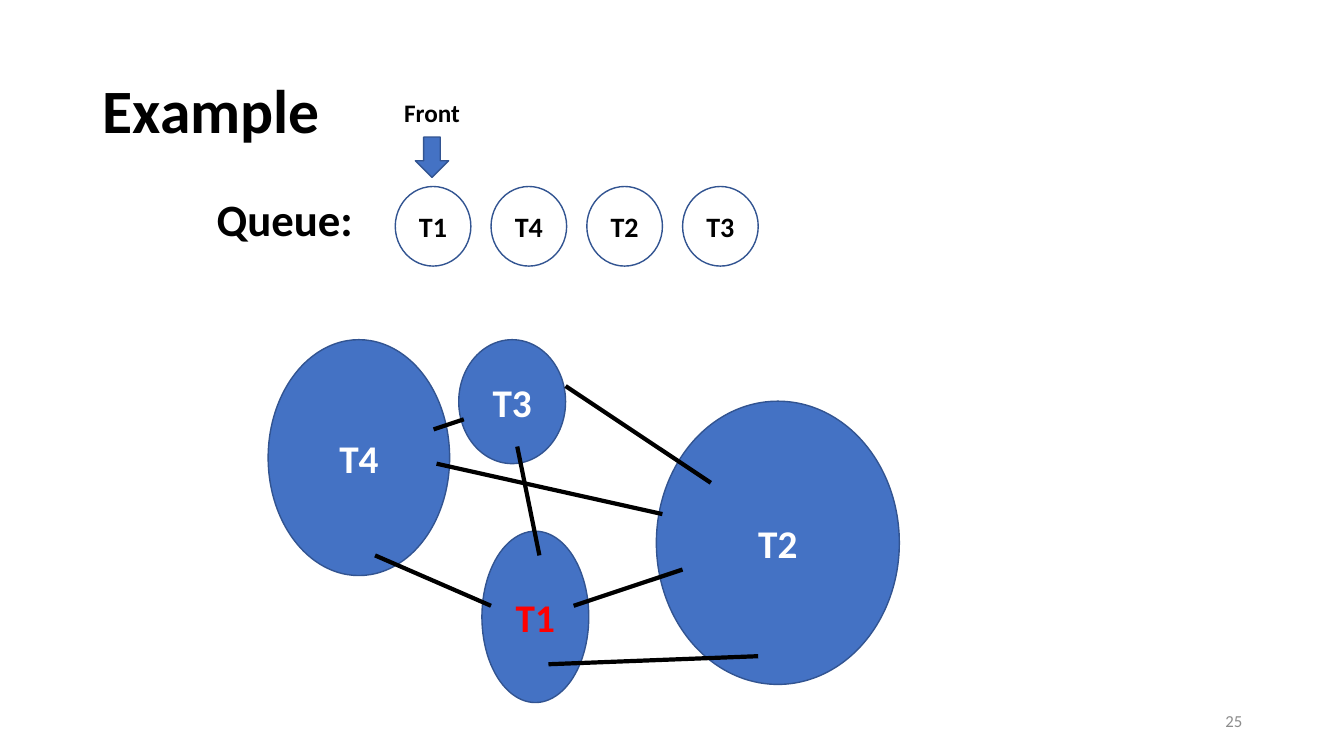
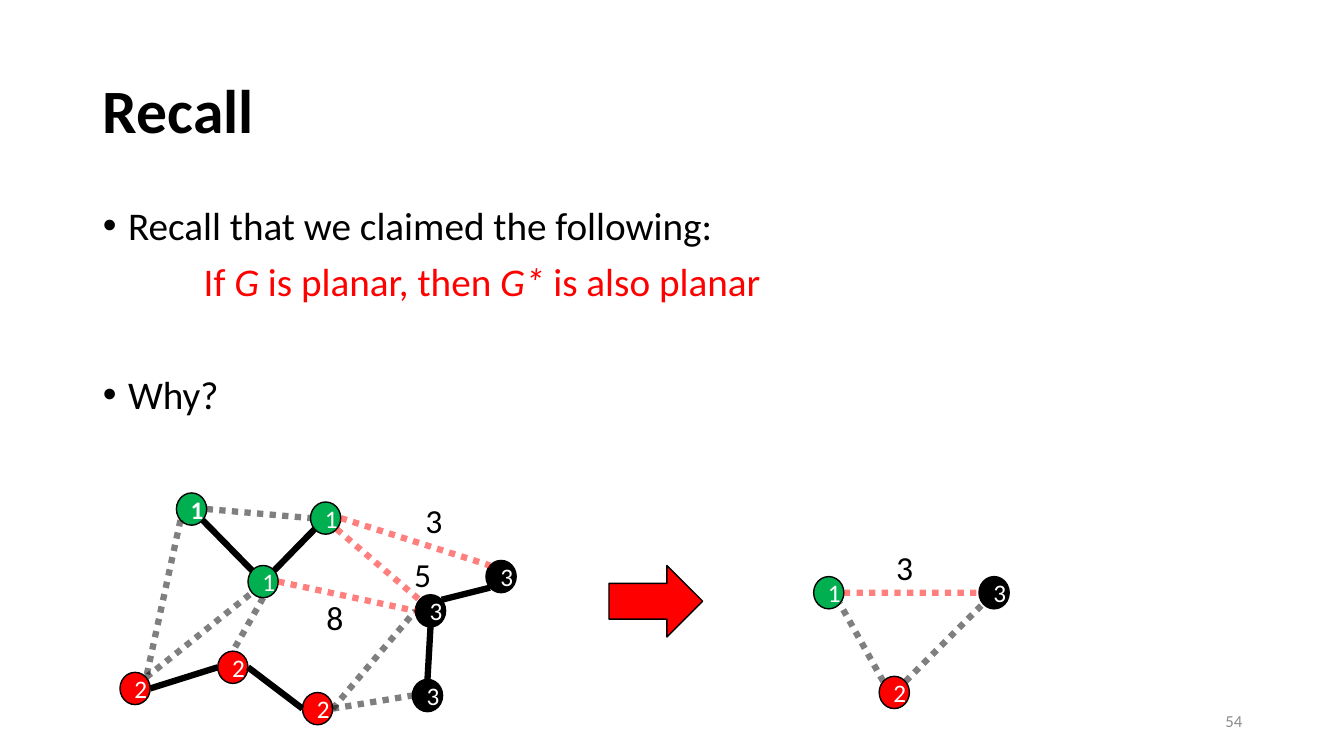
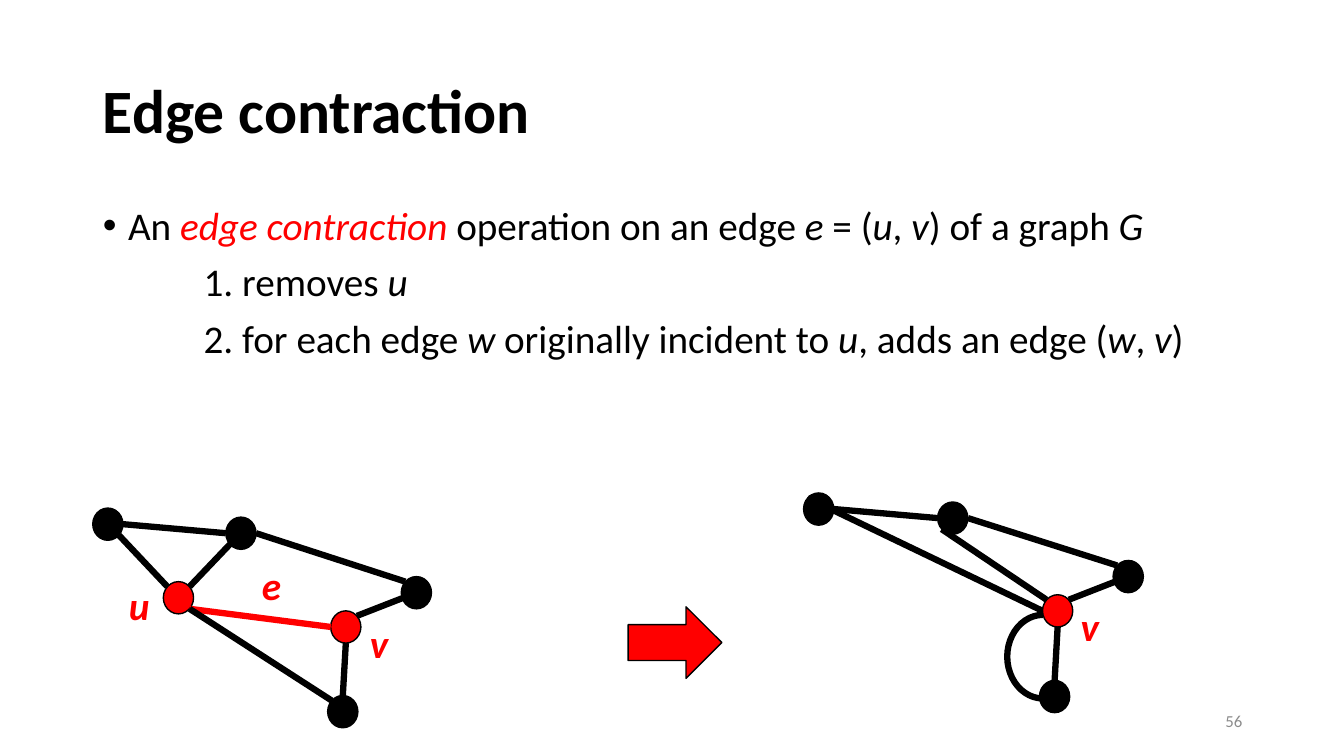
import dataclasses

import lxml.etree
import pptx
import pptx.dml.color
import pptx.enum.dml
import pptx.enum.shapes
import pptx.enum.text
import pptx.oxml.ns
import pptx.util

RGBColor = pptx.dml.color.RGBColor
SHAPE = pptx.enum.shapes.MSO_SHAPE
ALIGN = pptx.enum.text.PP_ALIGN
ANCHOR = pptx.enum.text.MSO_ANCHOR
FIT = pptx.enum.text.MSO_AUTO_SIZE

BLACK = RGBColor(0x00, 0x00, 0x00)
WHITE = RGBColor(0xFF, 0xFF, 0xFF)
RED = RGBColor(0xFF, 0x00, 0x00)
GREEN = RGBColor(0x00, 0xB0, 0x50)
BLUE = RGBColor(0x44, 0x72, 0xC4)
NAVY = RGBColor(0x32, 0x54, 0x91)
GREY = RGBColor(0x8C, 0x8C, 0x8C)

FONT = "Calibri"
PX = 9144
NODE_WIDTH, NODE_HEIGHT = 30, 32
SITES = {
    "N": (0, -16), "NE": (11, -11), "E": (15, 0), "SE": (11, 11), "S": (0, 16),
    "SW": (-11, 11), "W": (-15, 0), "NW": (-11, -11), "C": (0, 0),
}


@dataclasses.dataclass(frozen=True)
class Stroke:
    """Look of a line; dotted lines are half transparent."""
    colour: RGBColor
    width: float = 4.5
    dotted: bool = False


@dataclasses.dataclass(frozen=True)
class Node:
    """Graph vertex given by its centre."""
    x: int
    y: int
    fill: RGBColor
    label: str = ""
    bold: bool = False


@dataclasses.dataclass(frozen=True)
class Line:
    """Body line; underscores switch italics, accent is the red italic part."""
    text: str
    bullet: bool = True
    before: int = 10
    colour: RGBColor = BLACK
    accent: str = ""


SOLID = Stroke(BLACK)
SOLID_RED = Stroke(RED)
DOTTED = Stroke(BLACK, dotted=True)
DOTTED_RED = Stroke(RED, dotted=True)
THIN = Stroke(BLACK, 3)


def emu(*lengths):
    """Turn px into EMU."""
    return [length * PX for length in lengths]


def place(shape, left, top, width, height):
    """Move and size a shape."""
    shape.left, shape.top, shape.width, shape.height = emu(left, top, width, height)


def style(span, size, colour, bold=False, italic=False):
    """Set the font of a run."""
    span.font.name = FONT
    span.font.size = pptx.util.Pt(size)
    span.font.color.rgb = colour
    span.font.bold = bold
    span.font.italic = italic


def write(shape, text, size, colour, bold=False, italic=False, align=ALIGN.LEFT):
    """Fill a shape with one paragraph in one style."""
    shape.text_frame.text = text
    para = shape.text_frame.paragraphs[0]
    para.alignment = align
    style(para.runs[0], size, colour, bold, italic)
    return para


def add_label(page, box, text, size, colour=BLACK, bold=False, italic=False):
    """Add a text box that does not wrap."""
    label = page.shapes.add_textbox(*emu(*box))
    label.text_frame.word_wrap = False
    label.text_frame.auto_size = FIT.SHAPE_TO_FIT_TEXT
    write(label, text, size, colour, bold, italic)


def add_figure(page, kind, box, fill, outline, text="", size=18, colour=WHITE, bold=False):
    """Add a filled preset shape with optional centred text."""
    figure = page.shapes.add_shape(kind, *emu(*box))
    figure.shadow.inherit = False
    figure.fill.solid()
    figure.fill.fore_color.rgb = fill
    figure.line.color.rgb = outline
    figure.line.width = pptx.util.Pt(1)
    if text:
        figure.text_frame.vertical_anchor = ANCHOR.MIDDLE
        write(figure, text, size, colour, bold, align=ALIGN.CENTER)


def add_line(page, start, end, stroke):
    """Draw a straight connector between two points."""
    kind = pptx.enum.shapes.MSO_CONNECTOR.STRAIGHT
    connector = page.shapes.add_connector(kind, *emu(*start, *end))
    connector.line.color.rgb = stroke.colour
    connector.line.width = pptx.util.Pt(stroke.width)
    properties = connector._element.spPr
    qn = pptx.oxml.ns.qn
    if stroke.dotted:
        connector.line.dash_style = pptx.enum.dml.MSO_LINE.ROUND_DOT
        colour = properties.find(".//" + qn("a:srgbClr"))
        lxml.etree.SubElement(colour, qn("a:alpha")).set("val", "50000")
    lxml.etree.SubElement(properties, qn("a:effectLst"))


def add_page(deck, title, number, lines=()):
    """Add a slide with title, page number and, if given, body lines."""
    page = deck.slides.add_slide(deck.slide_layouts[1 if lines else 5])
    heading = page.shapes.title
    place(heading, 92, 40, 1150, 145)
    heading.text_frame.vertical_anchor = ANCHOR.MIDDLE
    heading.text_frame.auto_size = FIT.NONE
    write(heading, title, 44, BLACK, bold=True).line_spacing = 0.9
    footer = page.shapes.add_textbox(*emu(942, 695, 300, 40))
    footer.text_frame.word_wrap = True
    footer.text_frame.vertical_anchor = ANCHOR.MIDDLE
    write(footer, number, 12, GREY, align=ALIGN.RIGHT)
    if lines:
        fill_body(page.placeholders[1], lines)
    return page


def fill_body(body, lines):
    """Write the body lines, bulleted or indented."""
    place(body, 92, 200, 1150, 476)
    frame = body.text_frame
    frame.auto_size = FIT.NONE
    frame.vertical_anchor = ANCHOR.TOP
    for index, line in enumerate(lines):
        para = frame.add_paragraph() if index else frame.paragraphs[0]
        para.line_spacing = 0.9
        para.space_before = pptx.util.Pt(line.before if index else 0)
        properties = para._p.get_or_add_pPr()
        margin, indent = (25, -25) if line.bullet else (100, 0)
        properties.set("marL", str(margin * PX))
        properties.set("indent", str(indent * PX))
        mark = pptx.oxml.ns.qn("a:buChar" if line.bullet else "a:buNone")
        bullet = lxml.etree.SubElement(properties, mark)
        if line.bullet:
            bullet.set("char", "•")
        for order, text in enumerate(line.text.split("_")):
            if text:
                span = para.add_run()
                span.text = text
                colour = RED if text == line.accent else line.colour
                style(span, 28, colour, italic=order % 2 == 1)


def add_queue(page, left, top):
    """Draw the queue with its front marker."""
    add_label(page, (left, top + 93, 157, 64), "Queue:", 32, bold=True)
    add_label(page, (left + 186, top, 76, 40), "Front", 18, bold=True)
    add_figure(page, SHAPE.DOWN_ARROW, (left + 207, top + 44, 33, 40), BLUE, NAVY)
    for index, name in enumerate(("T1", "T4", "T2", "T3")):
        box = (left + 187 + 95 * index, top + 93, 75, 79)
        add_figure(page, SHAPE.OVAL, box, WHITE, NAVY, name, 20, BLACK, True)


def add_territories(page, left, top):
    """Draw the linked territories."""
    territories = (
        ("T4", 0, 0, 180, 234, WHITE), ("T3", 189, 0, 106, 123, WHITE),
        ("T2", 385, 61, 241, 281, WHITE), ("T1", 212, 190, 106, 170, RED),
    )
    for name, x, y, width, height, colour in territories:
        box = (left + x, top + y, width, height)
        add_figure(page, SHAPE.OVAL, box, BLUE, NAVY, name, 28, colour, True)
    links = (
        (303, 264, 411, 228), (167, 123, 391, 173), (295, 46, 439, 142),
        (106, 214, 221, 264), (278, 322, 486, 314), (247, 106, 269, 214),
        (164, 89, 194, 79),
    )
    for x1, y1, x2, y2 in links:
        add_line(page, (left + x1, top + y1), (left + x2, top + y2), THIN)


def add_edges(page, left, top, nodes, edges):
    """Draw edges such as a.SE-c.NW between sites of nodes."""
    for stroke, names in edges:
        for name in names.split():
            points = []
            for end in name.split("-"):
                key, site = end.split(".")
                dx, dy = SITES[site]
                points.append((left + nodes[key].x + dx, top + nodes[key].y + dy))
            add_line(page, *points, stroke)


def add_graph(page, left, top, nodes, edges, backing=()):
    """Draw a graph; backing edges lie behind the nodes."""
    add_edges(page, left, top, nodes, backing)
    for node in nodes.values():
        box = (left + node.x - NODE_WIDTH // 2, top + node.y - NODE_HEIGHT // 2,
               NODE_WIDTH, NODE_HEIGHT)
        add_figure(page, SHAPE.OVAL, box, node.fill, BLACK, node.label, bold=node.bold)
    add_edges(page, left, top, nodes, edges)


def add_weights(page, left, top, weights):
    """Write the edge weights of a graph."""
    for text, x, y in weights:
        add_label(page, (left + x, top + y, 37, 50), text, 24)


def add_names(page, left, top, names):
    """Write the red names of vertices and edges."""
    for text, x, y in names:
        add_label(page, (left + x, top + y, 39, 57), text, 28, RED, True, True)


def add_result_arrow(page, left, top):
    """Draw the red arrow between two graphs."""
    add_figure(page, SHAPE.RIGHT_ARROW, (left, top, 93, 71), RED, BLACK)


def add_coloured_graph(page, left, top):
    """Draw the graph whose vertices are grouped by number."""
    nodes = {
        "a": Node(71, 16, GREEN, "1", True), "b": Node(204, 25, GREEN, "1"),
        "c": Node(142, 88, GREEN, "1"), "d": Node(15, 194, RED, "2"),
        "e": Node(112, 173, RED, "2"), "f": Node(196, 214, RED, "2"),
        "g": Node(308, 117, BLACK, "3"), "h": Node(378, 83, BLACK, "3"),
        "i": Node(305, 201, BLACK, "3"),
    }
    edges = (
        (SOLID, "a.SE-c.NW c.NE-b.SW g.S-i.N g.NE-h.SW e.W-d.E e.E-f.W"),
        (DOTTED_RED, "b.E-h.NW b.SE-g.NW c.E-g.W"),
        (DOTTED, "a.E-b.W d.NE-c.SW a.SW-d.NE c.S-e.N f.E-i.W f.E-g.W"),
    )
    add_graph(page, left, top, nodes, edges)
    add_weights(page, left, top, (("3", 293, 2), ("5", 282, 56), ("8", 195, 98)))


def add_merged_graph(page, left, top):
    """Draw the graph with one vertex per group."""
    nodes = {
        "one": Node(15, 50, GREEN, "1"), "two": Node(80, 149, RED, "2"),
        "three": Node(179, 50, BLACK, "3"),
    }
    edges = (
        (DOTTED_RED, "one.E-three.W"),
        (DOTTED, "two.NW-one.SE two.NE-three.SW"),
    )
    add_graph(page, left, top, nodes, edges)
    add_weights(page, left, top, (("3", 72, 0),))


def add_graph_before(page, left, top):
    """Draw the graph with edge e still in place."""
    nodes = {
        "a": Node(15, 16, BLACK), "b": Node(147, 25, BLACK), "u": Node(85, 89, RED),
        "v": Node(251, 118, RED), "h": Node(321, 84, BLACK), "i": Node(248, 202, BLACK),
    }
    edges = (
        (SOLID, "a.SE-u.NW u.NE-b.SW v.S-i.N v.NE-h.C"),
        (SOLID_RED, "u.SE-v.W"),
        (SOLID, "b.E-h.NW a.E-b.W u.SE-i.NW"),
    )
    add_graph(page, left, top, nodes, edges)
    add_names(page, left, top, (("e", 158, 48), ("v", 265, 105), ("u", 26, 68)))


def add_graph_after(page, left, top):
    """Draw the graph after contracting edge e."""
    nodes = {
        "a": Node(15, 16, BLACK), "b": Node(148, 25, BLACK), "v": Node(252, 117, RED),
        "h": Node(322, 83, BLACK), "i": Node(249, 202, BLACK),
    }
    edges = ((SOLID, "v.NW-b.SW v.S-i.N v.NE-h.C b.E-h.NW a.E-b.W"),)
    add_graph(page, left, top, nodes, edges, backing=((SOLID, "a.NW-v.W"),))
    add_names(page, left, top, (("v", 265, 104),))
    loop = page.shapes.add_shape(SHAPE.ARC, *emu(left + 202, top + 121, 71, 83))
    loop.shadow.inherit = False
    loop.adjustments[0], loop.adjustments[1] = 55, 162
    loop.fill.background()
    loop.line.color.rgb = BLACK
    loop.line.width = pptx.util.Pt(4.5)


def build_example(deck):
    """Build the queue example."""
    page = add_page(deck, "Example", "25")
    add_queue(page, 205, 92)
    add_territories(page, 266, 337)


def build_recall(deck):
    """Build the planarity recall."""
    page = add_page(deck, "Recall", "54", (
        Line("Recall that we claimed the following:"),
        Line("If _G_ is planar, then _G* _is also planar", bullet=False, colour=RED),
        Line("Why?", before=50),
    ))
    add_result_arrow(page, 604, 561)
    add_coloured_graph(page, 119, 489)
    add_merged_graph(page, 807, 538)


def build_contraction(deck):
    """Build the definition of edge contraction."""
    page = add_page(deck, "Edge contraction", "56", (
        Line("An _edge contraction _operation on an edge _e_ = (_u_, _v_) of a graph _G",
             accent="edge contraction "),
        Line("1. removes _u", bullet=False),
        Line("2. for each edge _w_ originally incident to _u_, adds an edge (_w_, _v_)",
             bullet=False),
    ))
    add_graph_before(page, 92, 504)
    add_result_arrow(page, 623, 602)
    add_graph_after(page, 797, 489)


def main():
    """Build and save the deck."""
    deck = pptx.Presentation()
    deck.slide_width, deck.slide_height = emu(1333, 750)
    build_example(deck)
    build_recall(deck)
    build_contraction(deck)
    deck.save("out.pptx")


if __name__ == "__main__":
    main()
